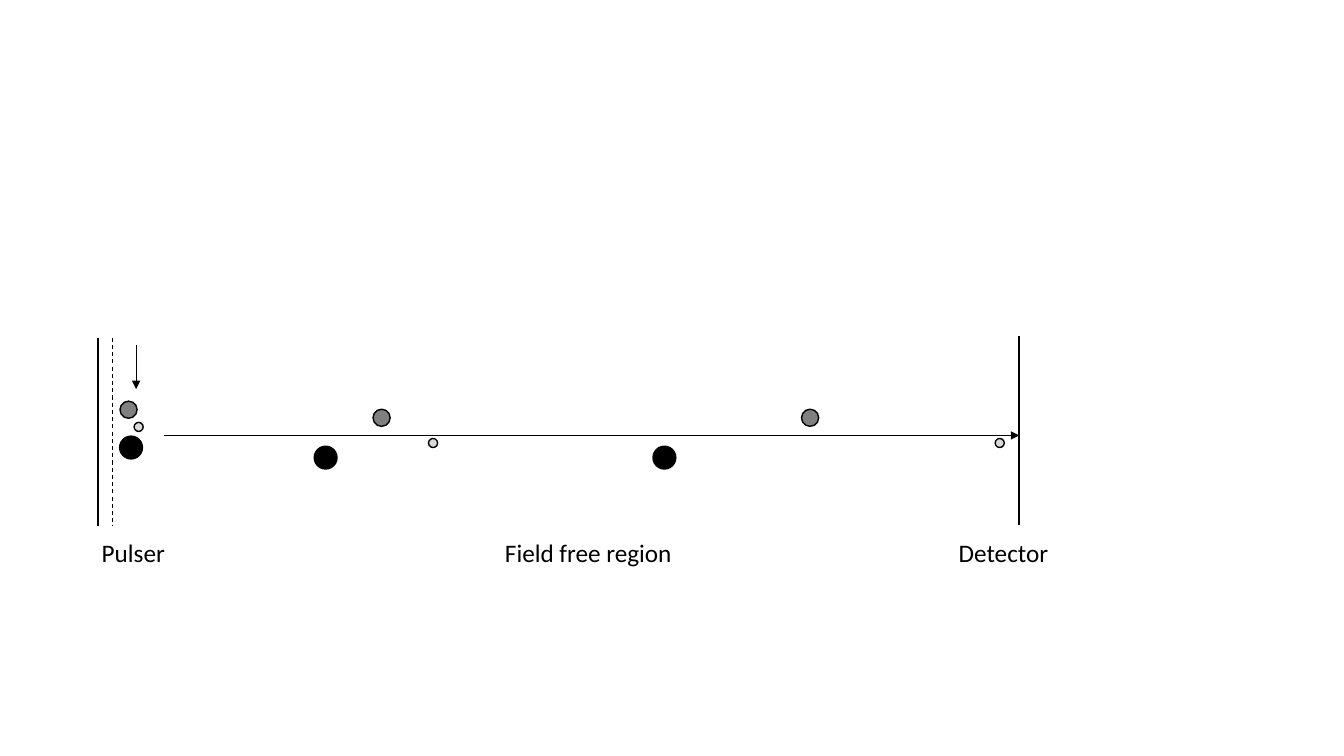
from lxml import etree
from pptx import Presentation
from pptx.dml.color import RGBColor
from pptx.enum.dml import MSO_LINE
from pptx.enum.shapes import MSO_CONNECTOR, MSO_SHAPE
from pptx.enum.text import MSO_AUTO_SIZE
from pptx.oxml.ns import qn
from pptx.util import Inches, Pt

STRAIGHT = MSO_CONNECTOR.STRAIGHT
OVAL = MSO_SHAPE.OVAL
DASH = MSO_LINE.DASH
FIT_SHAPE = MSO_AUTO_SIZE.SHAPE_TO_FIT_TEXT
BLACK = RGBColor(0x00, 0x00, 0x00)
GRAY = RGBColor(0x80, 0x80, 0x80)
LIGHT = RGBColor(0xD9, 0xD9, 0xD9)
BLANK_LAYOUT = 6


class FlightDiagram:
    """Draws the parts of a time-of-flight diagram on one slide."""

    font = "Calibri"
    text_size = Pt(18)
    outline = Pt(1)

    def __init__(self, page):
        """Keep the slide to draw on."""
        self.page = page

    def line(self, start, end, weight, dash=None, arrow=False):
        """Add a straight line, optionally dashed or with an arrowhead."""
        connector = self.page.shapes.add_connector(
            STRAIGHT, *(Inches(value) for value in start + end))
        connector.line.color.rgb = BLACK
        connector.line.width = Pt(weight)
        if dash:
            connector.line.dash_style = dash
        properties = connector._element.spPr
        if arrow:
            stroke = properties.find(qn("a:ln"))
            etree.SubElement(stroke, qn("a:tailEnd"), type="triangle")
        etree.SubElement(properties, qn("a:effectLst"))

    def ion(self, left, top, size, fill, outlined):
        """Add a round ion."""
        ion = self.page.shapes.add_shape(
            OVAL, Inches(left), Inches(top), Inches(size), Inches(size))
        ion.shadow.inherit = False
        ion.fill.solid()
        ion.fill.fore_color.rgb = fill
        if outlined:
            ion.line.color.rgb = BLACK
            ion.line.width = self.outline
        else:
            ion.line.fill.background()

    def captions(self, left, top, width, height, words, stops):
        """Add one row of captions aligned to tab stops."""
        box = self.page.shapes.add_textbox(
            Inches(left), Inches(top), Inches(width), Inches(height))
        frame = box.text_frame
        frame.word_wrap = True
        frame.auto_size = FIT_SHAPE
        frame.text = "\t".join(words)
        para = frame.paragraphs[0]
        tabs = etree.SubElement(para._p.get_or_add_pPr(), qn("a:tabLst"))
        for stop in stops:
            etree.SubElement(tabs, qn("a:tab"), pos=str(Inches(stop)), algn="l")
        for span in para.runs:
            span.font.name = self.font
            span.font.size = self.text_size
            span.font.color.rgb = BLACK


def main():
    """Build and save the deck."""
    deck = Presentation()
    deck.slide_width = Inches(13.33)
    deck.slide_height = Inches(7.5)
    page = deck.slides.add_slide(deck.slide_layouts[BLANK_LAYOUT])
    diagram = FlightDiagram(page)

    diagram.line((1.63, 4.32), (10.11, 4.32), 0.5, arrow=True)
    diagram.line((0.97, 3.35), (0.97, 5.22), 1.5)
    diagram.line((1.12, 3.35), (1.12, 5.22), 0.75, dash=DASH)
    diagram.line((10.11, 3.33), (10.11, 5.21), 1.5)
    diagram.line((1.35, 3.42), (1.35, 3.86), 0.5, arrow=True)

    ion_kinds = [
        (0.17, GRAY, True, [(1.19, 3.98), (3.7, 4.06), (7.95, 4.06)]),
        (0.09, LIGHT, True, [(1.33, 4.19), (4.25, 4.35), (9.87, 4.35)]),
        (0.24, BLACK, False, [(1.18, 4.32), (3.11, 4.42), (6.47, 4.42)]),
    ]
    for size, fill, outlined, places in ion_kinds:
        for left, top in places:
            diagram.ion(left, top, size, fill, outlined)

    diagram.captions(0.91, 5.28, 10.18, 0.4,
                     ["Pulser", "Field free region", "Detector"], [4, 8.5])
    deck.save("out.pptx")


if __name__ == "__main__":
    main()
